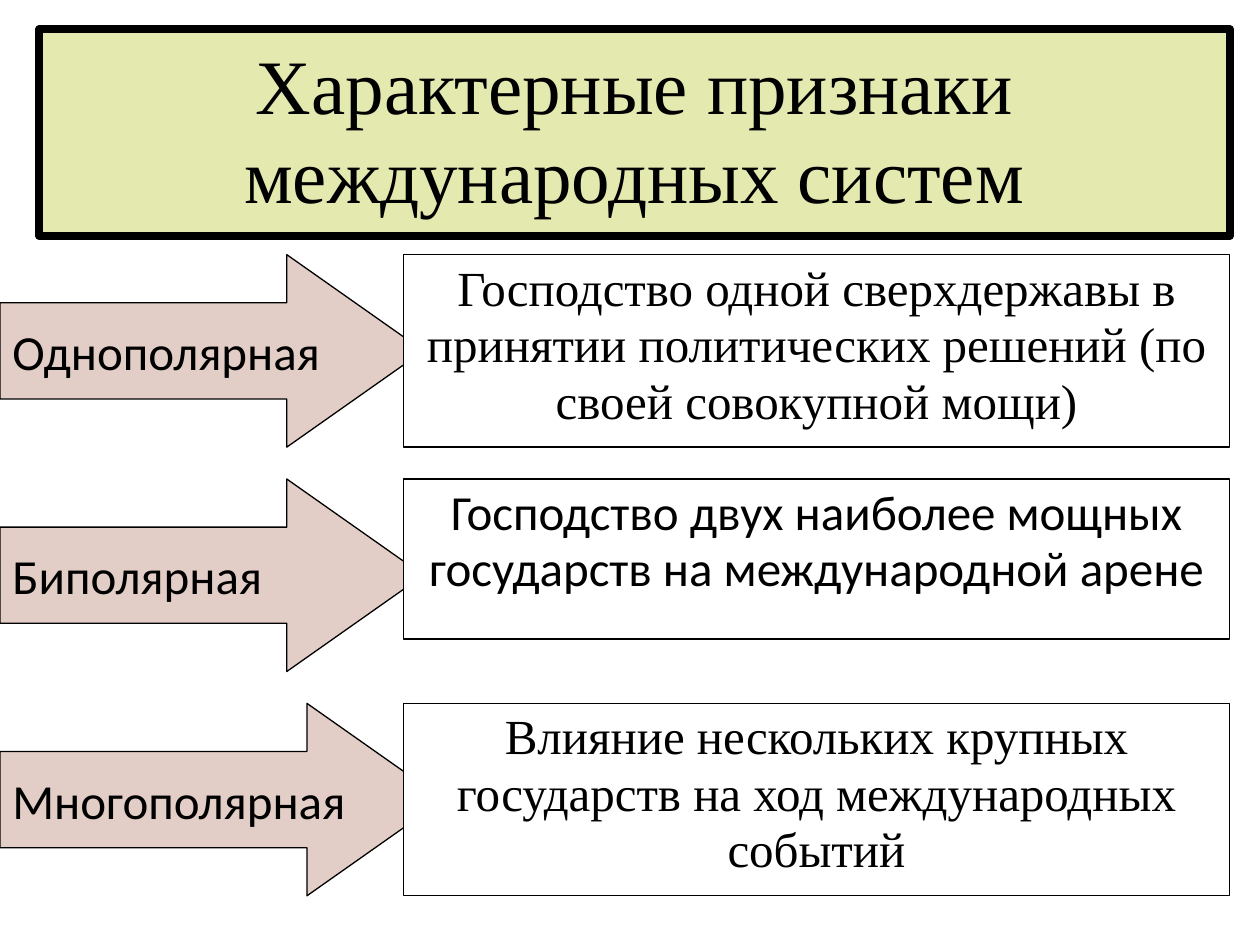
from lxml.etree import SubElement
from pptx import Presentation
from pptx.dml.color import RGBColor
from pptx.enum.shapes import MSO_SHAPE
from pptx.enum.text import MSO_ANCHOR, MSO_AUTO_SIZE, PP_ALIGN
from pptx.oxml.ns import qn
from pptx.util import Pt

# Content
TITLE = "Характерные признаки международных систем"
SERIF, SANS = "Times New Roman", "Calibri"
# system, arrow width, description, description font, box height, space after
SYSTEMS = [
    ("Однополярная", 242,
     "Господство одной сверхдержавы в принятии политических решений "
     "(по своей совокупной мощи)", SERIF, 110, 0),
    ("Биполярная", 242,
     "Господство двух наиболее мощных государств на международной арене",
     SANS, 91.5, 10),
    ("Многополярная", 253.5,
     "Влияние нескольких крупных государств на ход международных событий",
     SERIF, 110, 0),
]

# Layout
ROW_TOP, ROW_STEP = 145.5, 128.2
ARROW_H = 110
BOX_LEFT, BOX_W = 230.5, 472


def color(value):
    return RGBColor.from_string(value)


def place(s, left, top, width, height):
    s.left, s.top, s.width, s.height = (Pt(v) for v in (left, top, width, height))


def style(s, fill, line_width):
    s.fill.solid()
    s.fill.fore_color.rgb = color(fill)
    s.line.color.rgb = color("000000")
    s.line.width = Pt(line_width)


def write(s, text, font, size, align, anchor, spacing=1.0, after=0):
    tf = s.text_frame
    tf.word_wrap = True
    tf.auto_size = MSO_AUTO_SIZE.NONE
    tf.vertical_anchor = anchor
    tf.margin_left = tf.margin_right = Pt(7.2)
    tf.margin_top = tf.margin_bottom = Pt(3.6)
    p = tf.paragraphs[0]
    p.alignment = align
    p.line_spacing = spacing
    p.space_before = Pt(0)
    p.space_after = Pt(after)
    r = p.add_run()
    r.text = text
    r.font.name = font
    r.font.size = Pt(size)
    r.font.color.rgb = color("000000")


def add_shape(slide, kind, left, top, width, height, fill):
    s = slide.shapes.add_shape(kind, Pt(left), Pt(top), Pt(width), Pt(height))
    s.shadow.inherit = False
    style(s, fill, 0.75)
    return s


prs = Presentation()
prs.slide_width, prs.slide_height = Pt(720), Pt(540)
slide = prs.slides.add_slide(prs.slide_layouts[5])

# Title in a rounded frame
title = slide.shapes.title
place(title, 22.5, 16.75, 680.25, 118)
geom = SubElement(title.element.spPr, qn("a:prstGeom"), prst="roundRect")
SubElement(geom, qn("a:avLst"))
style(title, "E4E9AF", 4.5)
write(title, TITLE, SERIF, 44, PP_ALIGN.CENTER, MSO_ANCHOR.MIDDLE, 0.96)

# One arrow and one description per system
for i, (name, arrow_w, text, font, box_h, after) in enumerate(SYSTEMS):
    top = ROW_TOP + i * ROW_STEP
    arrow = add_shape(slide, MSO_SHAPE.RIGHT_ARROW, 0, top, arrow_w, ARROW_H, "E3CEC7")
    arrow.adjustments[1] = 0.71
    write(arrow, name, SANS, 28, PP_ALIGN.JUSTIFY, MSO_ANCHOR.MIDDLE, after=10)
    box = add_shape(slide, MSO_SHAPE.RECTANGLE, BOX_LEFT, top, BOX_W, box_h, "FFFFFF")
    write(box, text, font, 28, PP_ALIGN.CENTER, MSO_ANCHOR.TOP, 0.96, after)

prs.save("out.pptx")
